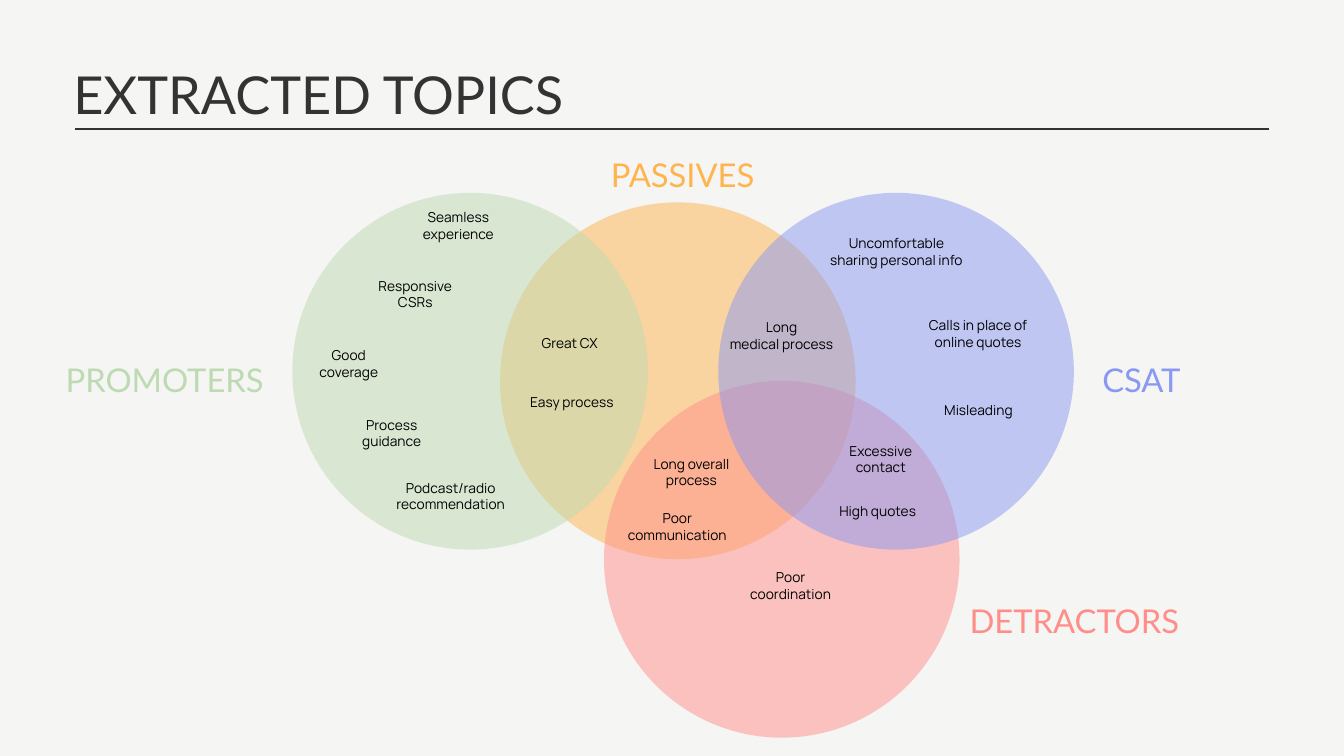
from typing import NamedTuple

from lxml import etree
from pptx import Presentation
from pptx import util as u
from pptx.dml import color
from pptx.enum import shapes, text
from pptx.oxml import ns

GREEN, AMBER, BLUE, RED = "BEDAB2", "FFB44E", "8A98F2", "FF8E89"
INK, BLACK, PAPER = "333333", "000000", "F5F5F4"
LINE = 0.62


class Style(NamedTuple):
    font: str
    size: float
    lead: float
    align: text.PP_ALIGN


class Circle(NamedTuple):
    left: float
    top: float
    hue: str


class Head(NamedTuple):
    words: str
    left: float
    top: float
    wide: float
    hue: str


class Topic(NamedTuple):
    words: str
    left: float
    top: float
    wide: float = 3.25
    lines: int = 2


TITLE = Style("Lato", 56, 67.2, text.PP_ALIGN.LEFT)
HEAD = Style("Lato", 35.1, 49.1, text.PP_ALIGN.CENTER)
TOPIC = Style("Manrope", 14.7, 17.6, text.PP_ALIGN.CENTER)

CIRCLES = [
    Circle(18.9, 7.65, AMBER),
    Circle(22.83, 14.4, RED),
    Circle(27.15, 7.29, BLUE),
    Circle(11.05, 7.29, GREEN),
]

TOPICS = [
    Topic("Great CX", 19.86, 12.65, 3.35, 1),
    Topic("Easy process", 19.99, 14.88),
    Topic("Good coverage", 11.56, 13.13),
    Topic("Process guidance", 13.18, 15.75),
    Topic("Podcast/radio recommendation", 14.71, 18.14, 4.65),
    Topic("Seamless experience", 15.6, 7.9, 3.45),
    Topic("Responsive CSRs", 14.07, 10.49),
    Topic("Excessive contact", 31.67, 16.74),
    Topic("High quotes", 31.5, 19, 3.35, 1),
    Topic("Poor coordination", 28.02, 21.51, 3.73),
    Topic("Long\nmedical process", 27.33, 12.07, 4.42),
    Topic("Long overall process", 24.51, 17.22),
    Topic("Calls in place of online quotes", 34.85, 11.99, 4.24),
    Topic("Misleading", 35.31, 15.19, 3.35, 1),
    Topic("Uncomfortable sharing personal info", 31.22, 8.89, 5.33, 3),
    Topic("Poor communication", 23.44, 19.28, 4.32),
]

HEADS = [
    Head("PASSIVES", 22.83, 5.61, 5.94, AMBER),
    Head("DETRACTORS", 36.47, 22.45, 8.28, RED),
    Head("CSAT", 41.53, 13.36, 3.23, BLUE),
    Head("PROMOTERS", 2.34, 13.36, 7.77, GREEN),
]


def paint(target, hue: str) -> None:
    target.rgb = color.RGBColor.from_string(hue)


def write(shape, words: str, style: Style, hue: str) -> None:
    frame = shape.text_frame
    frame.text = words
    frame.word_wrap = True
    frame.auto_size = text.MSO_AUTO_SIZE.SHAPE_TO_FIT_TEXT
    frame.vertical_anchor = text.MSO_ANCHOR.TOP
    frame.margin_left = frame.margin_right = 0
    frame.margin_top = frame.margin_bottom = 0
    for para in frame.paragraphs:
        para.alignment = style.align
        para.line_spacing = u.Pt(style.lead)
        para.space_before = u.Pt(0)
        for run in para.runs:
            run.font.name = style.font
            run.font.size = u.Pt(style.size)
            paint(run.font.color, hue)


def add_title(slide, words: str) -> None:
    title = slide.shapes.title
    title.left, title.top = u.Cm(2.77), u.Cm(2.36)
    title.width, title.height = u.Cm(41.58), u.Cm(2.36)
    write(title, words, TITLE, INK)


def add_circle(slide, item: Circle) -> None:
    disc = slide.shapes.add_shape(
        shapes.MSO_SHAPE.OVAL,
        u.Cm(item.left), u.Cm(item.top), u.Cm(13.44), u.Cm(13.49),
    )
    disc.shadow.inherit = False
    disc.line.fill.background()
    disc.fill.solid()
    paint(disc.fill.fore_color, item.hue)
    tint = disc.fill._xPr.find(ns.qn("a:solidFill"))[0]
    etree.SubElement(tint, ns.qn("a:alpha"), val="50000")


def add_text(slide, item: Head | Topic, high: float, style: Style, hue: str) -> None:
    box = slide.shapes.add_textbox(
        u.Cm(item.left), u.Cm(item.top), u.Cm(item.wide), u.Cm(high)
    )
    write(box, item.words, style, hue)


def add_rule(slide) -> None:
    rule = slide.shapes.add_connector(
        shapes.MSO_CONNECTOR.STRAIGHT,
        u.Cm(2.84), u.Cm(4.88), u.Cm(47.96), u.Cm(4.88),
    )
    rule.line.width = u.Pt(2.25)
    paint(rule.line.color, INK)
    etree.SubElement(rule._element.spPr, ns.qn("a:effectLst"))


def main() -> None:
    deck = Presentation()
    deck.slide_width, deck.slide_height = u.Cm(50.8), u.Cm(28.58)
    slide = deck.slides.add_slide(deck.slide_layouts[5])
    slide.background.fill.solid()
    paint(slide.background.fill.fore_color, PAPER)
    add_title(slide, "EXTRACTED TOPICS")
    for circle in CIRCLES:
        add_circle(slide, circle)
    for topic in TOPICS:
        add_text(slide, topic, topic.lines * LINE, TOPIC, BLACK)
    for head in HEADS:
        add_text(slide, head, 1.66, HEAD, head.hue)
    add_rule(slide)
    deck.save("out.pptx")


if __name__ == "__main__":
    main()
